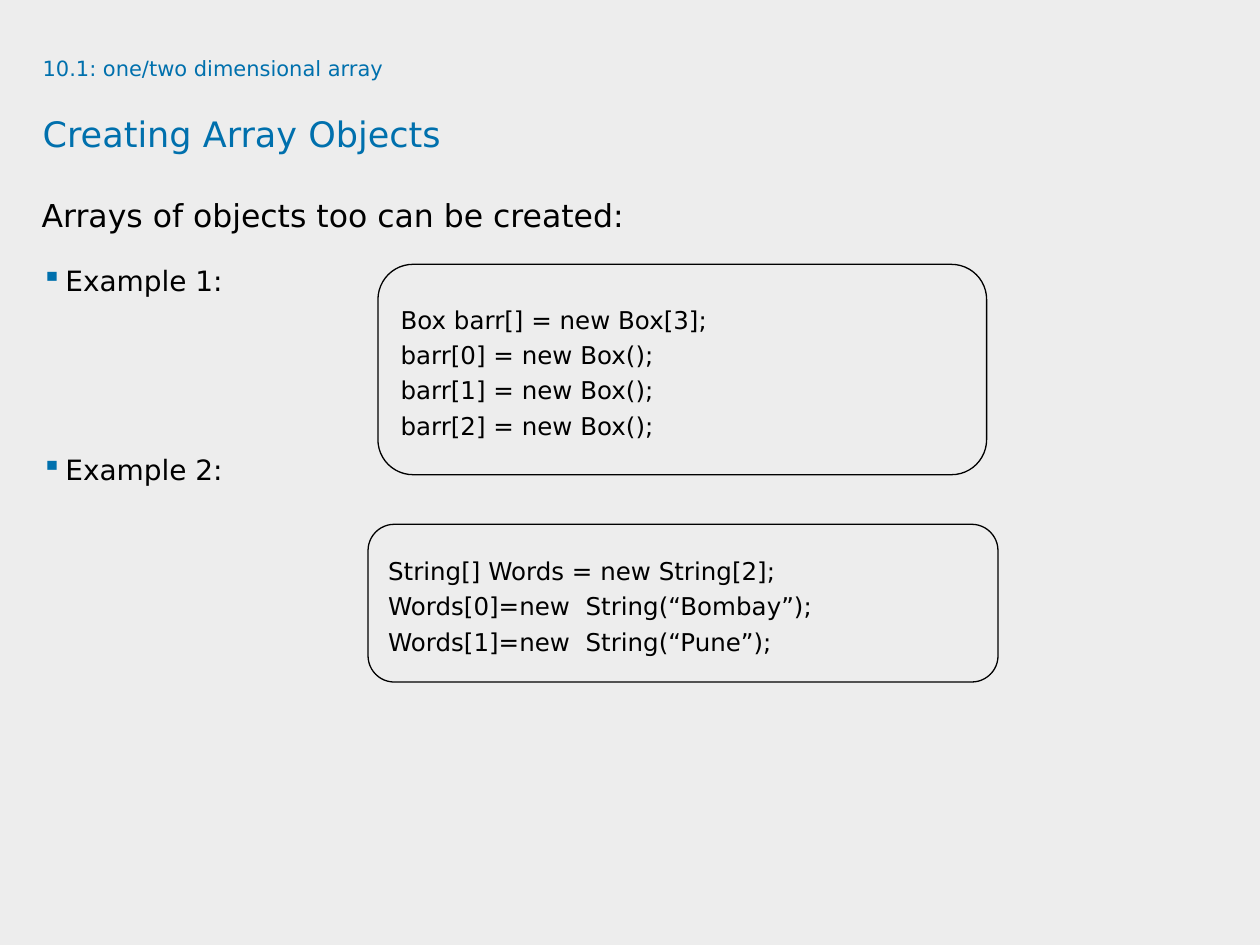
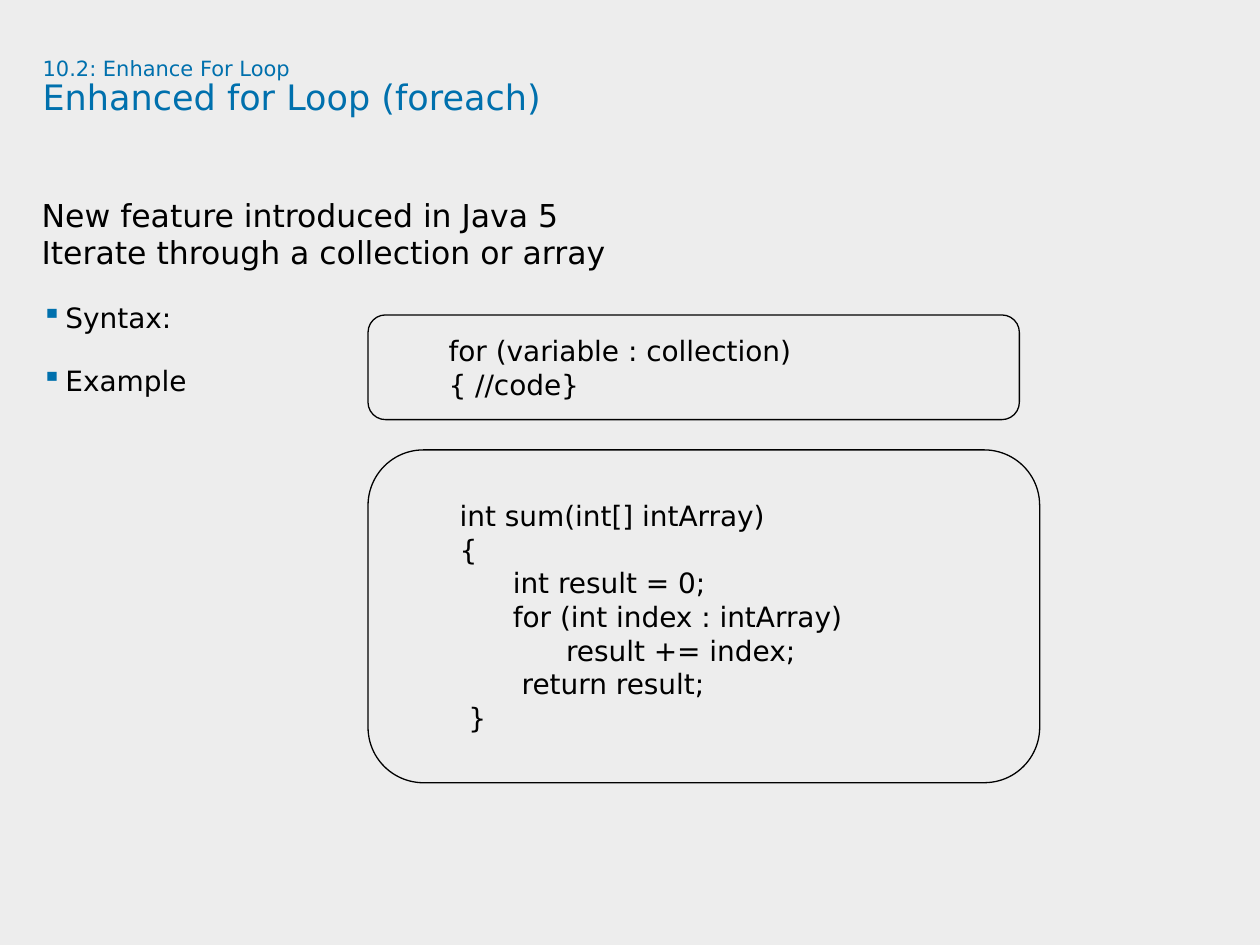
import pptx
import pptx.dml.color
import pptx.enum.shapes
import pptx.enum.text
import pptx.oxml.ns
import pptx.util
from lxml import etree

Cm, Pt = pptx.util.Cm, pptx.util.Pt

FONT = "DejaVu Sans"
BACKGROUND, ACCENT, INK = "EDEDED", "0070AD", "000000"
TITLE_AREA = (0.86, 1.17, 23.09, 2.39)
BODY_AREA = (0.84, 4.14, 24.56, 12.9)
BULLET_INDENT = 0.48
BLANK_ROW = 18

LESSONS = [
    {
        "section": "10.1: one/two dimensional array",
        "title": "Creating Array Objects",
        "title_gap": 21,
        "statements": ["Arrays of objects too can be created:"],
        "bullets": [("Example 1:", 1), ("Example 2:", 5)],
        "code_format": {"size": 14, "line_spacing": 1.2},
        "code_boxes": [
            ((7.62, 5.33, 12.27, 4.24), [
                "Box barr[] = new Box[3];",
                "barr[0] = new Box();",
                "barr[1] = new Box();",
                "barr[2] = new Box();",
            ]),
            ((7.42, 10.57, 12.7, 3.18), [
                "String[] Words = new String[2];",
                "Words[0]=new  String(“Bombay”);",
                "Words[1]=new  String(“Pune”);",
            ]),
        ],
    },
    {
        "section": "10.2: Enhance For Loop",
        "title": "Enhanced for Loop (foreach)",
        "title_gap": 0,
        "statements": [
            "New feature introduced in Java 5",
            "Iterate through a collection or array",
        ],
        "bullets": [("Syntax:", 1), ("Example", 1)],
        "code_format": {"size": 16, "left": 1.27},
        "code_boxes": [
            ((7.42, 9.07, 13.54, 6.71), [
                "int sum(int[] intArray)",
                "{",
                "      int result = 0;",
                "      for (int index : intArray)",
                "            result += index;",
                "       return result;",
                " }",
            ]),
            ((7.42, 6.35, 13.13, 2.11), [
                "for (variable : collection)",
                "{ //code}",
            ]),
        ],
    },
]


def color(value):
    return pptx.dml.color.RGBColor.from_string(value)


def add_bullet(paragraph):
    properties = paragraph._p.get_or_add_pPr()
    properties.set("marL", str(Cm(BULLET_INDENT)))
    properties.set("indent", str(-Cm(BULLET_INDENT)))
    tag = pptx.oxml.ns.qn
    bullet_color = etree.SubElement(properties, tag("a:buClr"))
    etree.SubElement(bullet_color, tag("a:srgbClr"), val=ACCENT)
    etree.SubElement(properties, tag("a:buChar"), char="▪")


def add_text(frame, text, size, ink=INK, line_spacing=1.0, before=0, after=0,
             left=0, bullet=False):
    first = frame.paragraphs[0]
    paragraph = frame.add_paragraph() if first.runs else first
    if bullet:
        add_bullet(paragraph)
    elif left:
        paragraph._p.get_or_add_pPr().set("marL", str(Cm(left)))
    paragraph.alignment = pptx.enum.text.PP_ALIGN.LEFT
    paragraph.line_spacing = line_spacing
    paragraph.space_before = Pt(before)
    paragraph.space_after = Pt(after)
    run = paragraph.add_run()
    run.text = text
    run.font.name = FONT
    run.font.size = Pt(size)
    run.font.color.rgb = color(ink)


def add_text_area(slide, area):
    frame = slide.shapes.add_textbox(*map(Cm, area)).text_frame
    frame.word_wrap = True
    frame.margin_left = frame.margin_right = 0
    frame.margin_top = frame.margin_bottom = 0
    return frame


def add_code_box(slide, area, lines, code_format):
    shape = slide.shapes.add_shape(
        pptx.enum.shapes.MSO_SHAPE.ROUNDED_RECTANGLE, *map(Cm, area))
    shape.shadow.inherit = False
    shape.fill.background()
    shape.line.color.rgb = color(INK)
    shape.line.width = Pt(0.75)
    frame = shape.text_frame
    frame.word_wrap = True
    frame.vertical_anchor = pptx.enum.text.MSO_ANCHOR.MIDDLE
    for line in lines:
        add_text(frame, line, **code_format)


def add_lesson(presentation, lesson):
    slide = presentation.slides.add_slide(presentation.slide_layouts[6])
    slide.background.fill.solid()
    slide.background.fill.fore_color.rgb = color(BACKGROUND)

    title = add_text_area(slide, TITLE_AREA)
    add_text(title, lesson["section"], 12, ink=ACCENT, line_spacing=0.9)
    add_text(title, lesson["title"], 20, ink=ACCENT, line_spacing=0.9,
             before=lesson["title_gap"])

    body = add_text_area(slide, BODY_AREA)
    for statement in lesson["statements"]:
        add_text(body, statement, 18, line_spacing=Pt(16.5), after=4.5)
    for text, rows_above in lesson["bullets"]:
        add_text(body, text, 16, line_spacing=Pt(13.5), after=4.5,
                 before=rows_above * BLANK_ROW, bullet=True)

    for area, lines in lesson["code_boxes"]:
        add_code_box(slide, area, lines, lesson["code_format"])


def main():
    presentation = pptx.Presentation()
    presentation.slide_width = Cm(25.4)
    presentation.slide_height = Cm(19.05)
    for lesson in LESSONS:
        add_lesson(presentation, lesson)
    presentation.save("out.pptx")


if __name__ == "__main__":
    main()
